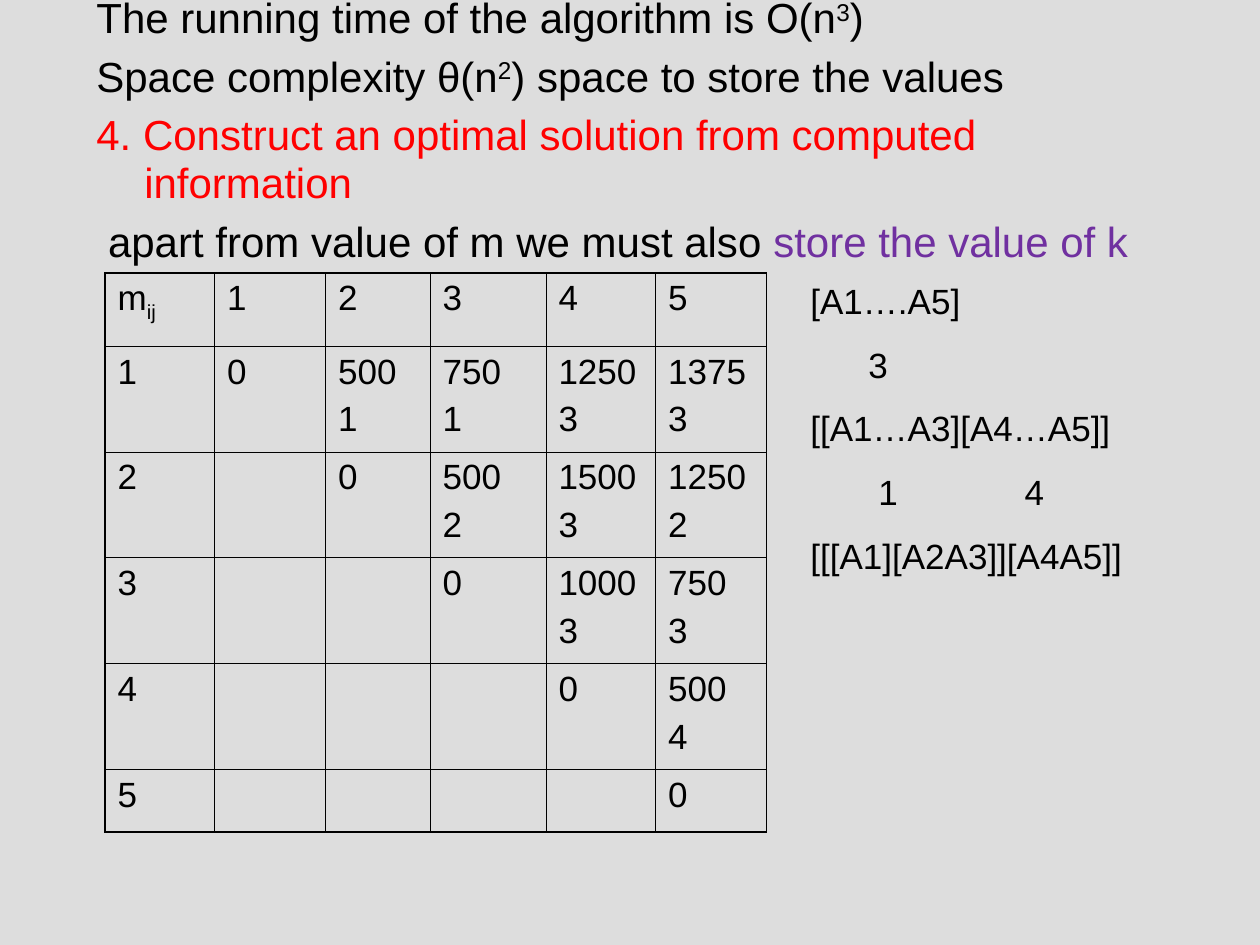
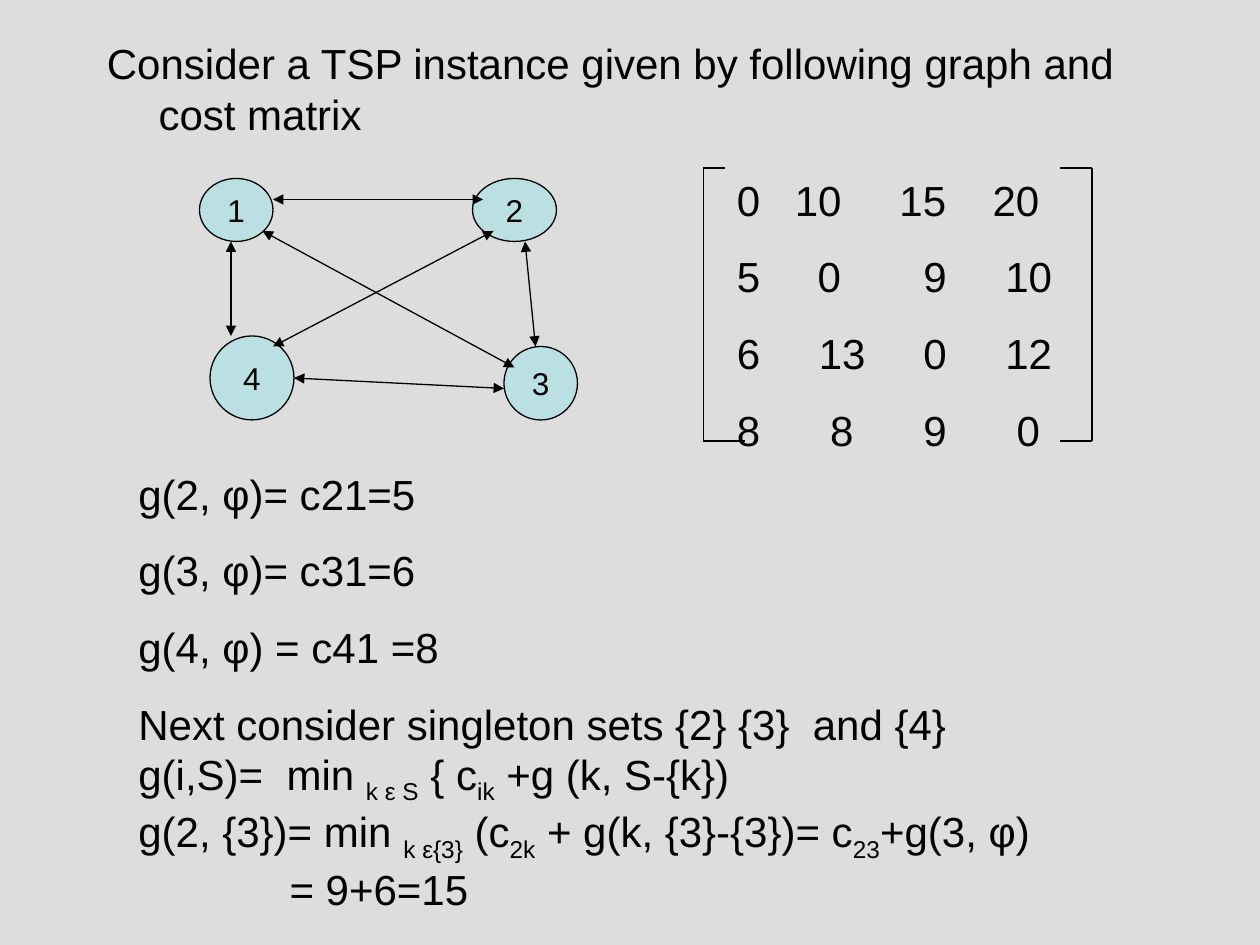
import pptx
import pptx.dml.color
import pptx.enum.shapes
import pptx.enum.text
import pptx.oxml.ns
import pptx.util
from lxml import etree

RGB = pptx.dml.color.RGBColor
BLACK = RGB(0x00, 0x00, 0x00)
GREY = RGB(0xDD, 0xDD, 0xDD)
RED = RGB(0xFF, 0x00, 0x00)
PURPLE = RGB(0x70, 0x30, 0xA0)
PALE_BLUE = RGB(0xBB, 0xE0, 0xE3)
FONT = "Arial"
SUPER, SUB = 30, -25
THIN, THICK = 0.45, 1.08

# A paragraph is a string or a list of spans: text, or (text, baseline, colour).
# Places are columns and rows of a grid with 120 columns across the slide.
COLUMNS, ROWS = 120, 90

COMPLEXITY = [
    ["The running time of the algorithm is O(n", ("3", SUPER, BLACK), ")"],
    ["Space complexity θ(n", ("2", SUPER, BLACK), ") space to store the values"],
    [("4. Construct an optimal solution from computed information", 0, RED)],
    [" apart from value of m we must also ", ("store the value of k", 0, PURPLE)],
]
# Each table cell holds its cost and, where there is one, the split k.
COSTS = [
    [[["m", ("ij", SUB, BLACK)]], ["1"], ["2"], ["3"], ["4"], ["5"]],
    [["1"], ["0"], ["500", "1"], ["750", "1"], ["1250", "3"], ["1375", "3"]],
    [["2"], [], ["0"], ["500", "2"], ["1500", "3"], ["1250", "2"]],
    [["3"], [], [], ["0"], ["1000", "3"], ["750", "3"]],
    [["4"], [], [], [], ["0"], ["500", "4"]],
    [["5"], [], [], [], [], ["0"]],
]
COST_WIDTHS = [0.87, 0.88, 0.83, 0.92, 0.87, 0.88]
COST_HEIGHTS = [0.58, 0.84, 0.84, 0.84, 0.84, 0.5]
SPLITS = ["[A1….A5]", "\t3", "[[A1…A3][A4…A5]]", "\t1\t4", "[[[A1][A2A3]][A4A5]]"]
SPLIT_TABS = [[], [0.46], [], [0.54, 1.7], []]

TSP_TITLE = ["Consider a TSP instance given by following graph and cost matrix"]
NODES = [("1", 19, 17, 7, 6), ("2", 45, 17, 8, 6), ("4", 20, 32, 8, 8), ("3", 48, 33, 7, 7)]
EDGES = [
    (26, 19, 46, 19), (25, 22, 49, 35), (50, 23, 51, 33),
    (28, 36, 48, 37), (22, 23, 22, 32), (26, 33, 47, 22),
]
BRACKET_TOP, BRACKET_BOTTOM = 16, 42
BRACKETS = [(67, 69, 71), (104, 101, 101)]  # side, end of top foot, end of bottom foot
MATRIX = ["0\t10\t15\t20", "5\t0\t9\t10", "6\t13\t0\t12", "8\t8\t9\t0"]
MATRIX_TABS = [[0.46, 1.29, 2.03], [0.64, 1.48, 2.13], [0.65, 1.48, 2.13], [0.74, 1.48, 2.22]]
FORMULAS = [
    "g(2, φ)= c21=5",
    "g(3, φ)= c31=6",
    "g(4, φ) = c41 =8",
    "Next consider singleton sets {2} {3}  and {4}",
    ["g(i,S)=  min ", ("k ε S", SUB, BLACK), " { c", ("ik", SUB, BLACK), " +g (k, S-{k})"],
    ["g(2, {3})= min ", ("k ε{3}", SUB, BLACK), " (c", ("2k", SUB, BLACK),
     " + g(k, {3}-{3})= c", ("23", SUB, BLACK), "+g(3, φ)"],
    "\t= 9+6=15",
]
FORMULA_TABS = [[]] * 6 + [[1.2]]
FORMULA_GAPS = [15] * 4 + [0] * 3


def grid(*counts):
    return [pptx.util.Inches(count * 10 / COLUMNS) for count in counts]


def add_xml(parent, tag, **attributes):
    return etree.SubElement(parent, pptx.oxml.ns.qn(tag), attributes)


def write(frame, paragraphs, size, gaps=0, tabs=None, hang=0, spacing=None):
    """Fill a text frame; gaps is one space before, or one for each paragraph."""
    for index, spans in enumerate(paragraphs):
        para = frame.paragraphs[0] if index == 0 else frame.add_paragraph()
        para.space_before = pptx.util.Pt(gaps[index] if isinstance(gaps, list) else gaps)
        if spacing:
            para.line_spacing = spacing
        properties = para._p.get_or_add_pPr()
        if hang:
            properties.set("marL", str(pptx.util.Inches(hang)))
            properties.set("indent", str(-pptx.util.Inches(hang)))
        if tabs and tabs[index]:
            stops = add_xml(properties, "a:tabLst")
            for stop in tabs[index]:
                add_xml(stops, "a:tab", pos=str(pptx.util.Inches(stop)), algn="l")
        for span in [spans] if isinstance(spans, str) else spans:
            text, baseline, colour = (span, 0, BLACK) if isinstance(span, str) else span
            run = para.add_run()
            run.text = text
            run.font.name = FONT
            run.font.size = pptx.util.Pt(size)
            run.font.color.rgb = colour
            if baseline:
                run.font._element.set("baseline", str(baseline * 1000))


def add_text(page, place, paragraphs, size, **layout):
    box = page.shapes.add_textbox(*grid(*place))
    box.text_frame.word_wrap = True
    box.text_frame.auto_size = pptx.enum.text.MSO_AUTO_SIZE.SHAPE_TO_FIT_TEXT
    write(box.text_frame, paragraphs, size, **layout)


def add_line(page, ends, arrows=False):
    line = page.shapes.add_connector(pptx.enum.shapes.MSO_CONNECTOR.STRAIGHT, *grid(*ends))
    line.line.color.rgb = BLACK
    line.line.width = pptx.util.Pt(0.75)
    if arrows:
        for end in ("a:headEnd", "a:tailEnd"):
            add_xml(line.line._get_or_add_ln(), end, type="triangle")
    add_xml(line._element.spPr, "a:effectLst")


def add_node(page, label, *place):
    node = page.shapes.add_shape(pptx.enum.shapes.MSO_SHAPE.OVAL, *grid(*place))
    node.shadow.inherit = False
    node.fill.solid()
    node.fill.fore_color.rgb = PALE_BLUE
    node.line.color.rgb = BLACK
    node.line.width = pptx.util.Pt(0.75)
    node.text_frame.word_wrap = False
    node.text_frame.vertical_anchor = pptx.enum.text.MSO_ANCHOR.MIDDLE
    write(node.text_frame, [label], 18)
    node.text_frame.paragraphs[0].alignment = pptx.enum.text.PP_ALIGN.CENTER


def set_borders(cell, outer):
    """Draw four black borders, thick on the sides named in outer."""
    properties = cell._tc.get_or_add_tcPr()
    for index, side in enumerate("LRTB"):
        width = pptx.util.Pt(THICK if side in outer else THIN)
        border = add_xml(properties, "a:ln" + side, w=str(width))
        add_xml(add_xml(border, "a:solidFill"), "a:srgbClr", val=str(BLACK))
        properties.insert(index, border)


def add_cost_table(page):
    last = len(COSTS) - 1
    size = [pptx.util.Inches(sum(parts)) for parts in (COST_WIDTHS, COST_HEIGHTS)]
    table = page.shapes.add_table(last + 1, last + 1, *grid(10, 26), *size).table
    table.first_row = table.horz_banding = False
    for column, width in zip(table.columns, COST_WIDTHS):
        column.width = pptx.util.Inches(width)
    for r, (row, height) in enumerate(zip(COSTS, COST_HEIGHTS)):
        table.rows[r].height = pptx.util.Inches(height)
        for c, lines in enumerate(row):
            cell = table.cell(r, c)
            cell.fill.background()
            edges = {"L": c == 0, "R": c == last, "T": r == 0, "B": r == last}
            set_borders(cell, [side for side, outer in edges.items() if outer])
            write(cell.text_frame, lines, 20, gaps=5)


def add_page(deck):
    page = deck.slides.add_slide(deck.slide_layouts[6])
    page.background.fill.solid()
    page.background.fill.fore_color.rgb = GREY
    return page


def build_matrix_chain(page):
    add_text(page, (8, -1, 105, 27), COMPLEXITY, 24, gaps=6, hang=0.38, spacing=0.95)
    add_cost_table(page)
    add_text(page, (76, 26, 35, 35.6), SPLITS, 20, gaps=12.5, tabs=SPLIT_TABS)


def build_tsp(page):
    add_text(page, (9, 3, 105, 10.8), TSP_TITLE, 24, hang=0.41)
    for node in NODES:
        add_node(page, *node)
    for edge in EDGES:
        add_line(page, edge, arrows=True)
    for side, top_end, bottom_end in BRACKETS:
        add_line(page, (side, BRACKET_TOP, side, BRACKET_BOTTOM))
        add_line(page, (side, BRACKET_TOP, top_end, BRACKET_TOP))
        add_line(page, (side, BRACKET_BOTTOM, bottom_end, BRACKET_BOTTOM))
    add_text(page, (69, 16, 33, 28), MATRIX, 24, gaps=15, tabs=MATRIX_TABS)
    add_text(page, (12, 44, 93, 43.7), FORMULAS, 24, gaps=FORMULA_GAPS, tabs=FORMULA_TABS)


def main():
    deck = pptx.Presentation()
    deck.slide_width, deck.slide_height = grid(COLUMNS, ROWS)
    build_matrix_chain(add_page(deck))
    build_tsp(add_page(deck))
    deck.save("out.pptx")


if __name__ == "__main__":
    main()
